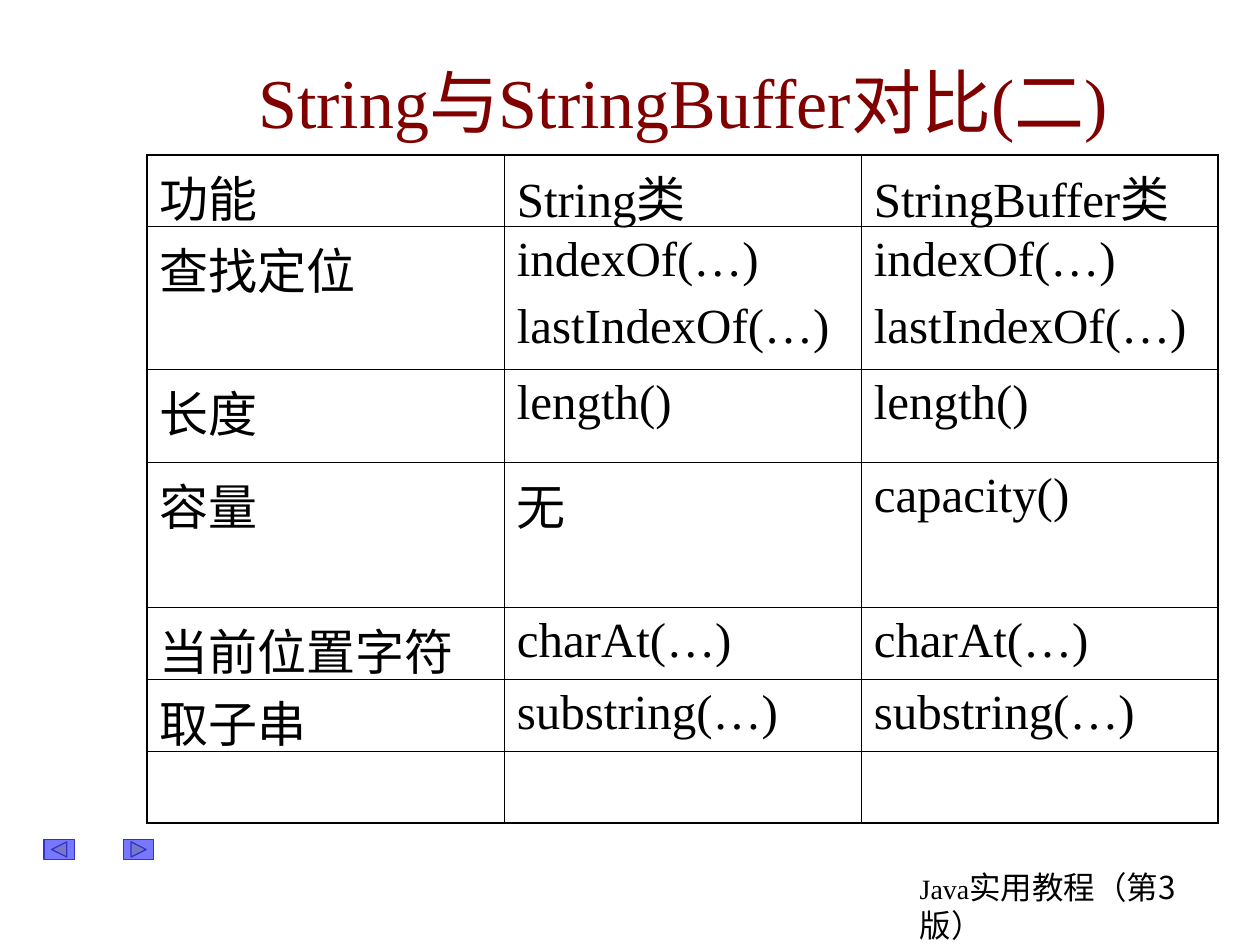
import pptx
import pptx.util
import pptx.dml.color
import pptx.enum.shapes
import pptx.enum.text
import pptx.oxml
import pptx.oxml.ns
from dataclasses import dataclass

Cm, Pt = pptx.util.Cm, pptx.util.Pt
Kind = pptx.enum.shapes.MSO_SHAPE


@dataclass(frozen=True)
class Theme:
    latin: str = "Times New Roman"
    han: str = "Noto Sans CJK SC"
    ink: str = "000000"
    head: str = "800000"
    fill: str = "0000FF"
    edge: str = "3333CC"
    alpha: int = 53
    title: int = 40
    body: int = 28
    note: int = 18
    small: int = 16
    gap: int = 7
    thick: float = 1.08
    thin: float = 0.45


THEME = Theme()

TITLE = "String与StringBuffer对比(二)"
ROWS = [
    ("功能", "String类", "StringBuffer类"),
    ("查找定位", "indexOf(…)\nlastIndexOf(…)", "indexOf(…)\nlastIndexOf(…)"),
    ("长度", "length()", "length()"),
    ("容量", "无", "capacity()"),
    ("当前位置字符", "charAt(…)", "charAt(…)"),
    ("取子串", "substring(…)", "substring(…)"),
    ("", "", ""),
]
HEIGHTS = [1.45, 2.87, 1.88, 2.92, 1.45, 1.45, 1.45]
NOTE = [
    ("Java", THEME.latin, THEME.small),
    ("实用教程（第3版）", THEME.han, THEME.note),
]
BUTTONS = [
    (Kind.ACTION_BUTTON_FORWARD_OR_NEXT, 2.49),
    (Kind.ACTION_BUTTON_BACK_OR_PREVIOUS, 0.89),
]
LEFT, WIDTH = 2.97, 21.59


def box(*sizes):
    return [Cm(size) for size in sizes]


def style(font, name, size, color):
    font.name = name
    font.size = Pt(size)
    font.color.rgb = pptx.dml.color.RGBColor.from_string(color)


def border(cell, side, width):
    line = pptx.oxml.parse_xml(
        f'<a:ln{side} {pptx.oxml.ns.nsdecls("a")} w="{Pt(width)}">'
        f'<a:solidFill><a:srgbClr val="{THEME.ink}"/></a:solidFill>'
        f'</a:ln{side}>'
    )
    cell._tc.get_or_add_tcPr().append(line)


def add_note(slide):
    frame = slide.shapes.add_textbox(*box(18.29, 17.37, 6.6, 1.78)).text_frame
    frame.word_wrap = True
    for text, name, size in NOTE:
        run = frame.paragraphs[0].add_run()
        run.text = text
        style(run.font, name, size, THEME.ink)
        if name == THEME.han:
            east = pptx.oxml.parse_xml(
                f'<a:ea {pptx.oxml.ns.nsdecls("a")} typeface="{name}"/>')
            run.font._element.append(east)


def add_button(slide, kind, left):
    shape = slide.shapes.add_shape(kind, *box(left, 16.92, 0.61, 0.41))
    shape.shadow.inherit = False
    shape.fill.solid()
    shape.fill.fore_color.rgb = pptx.dml.color.RGBColor.from_string(THEME.fill)
    color = shape._element.spPr.find(".//" + pptx.oxml.ns.qn("a:srgbClr"))
    color.append(pptx.oxml.parse_xml(
        f'<a:alpha {pptx.oxml.ns.nsdecls("a")} val="{THEME.alpha * 1000}"/>'))
    shape.line.color.rgb = pptx.dml.color.RGBColor.from_string(THEME.edge)
    shape.line.width = Pt(0.75)


def add_title(slide):
    title = slide.shapes.title
    title.left, title.top, title.width, title.height = box(LEFT, 1.07, WIDTH, 1.9)
    frame = title.text_frame
    frame.text = TITLE
    frame.auto_size = pptx.enum.text.MSO_AUTO_SIZE.NONE
    frame.vertical_anchor = pptx.enum.text.MSO_ANCHOR.MIDDLE
    line = frame.paragraphs[0]
    line.alignment = pptx.enum.text.PP_ALIGN.CENTER
    style(line.font, THEME.latin, THEME.title, THEME.head)


def add_grid(slide):
    count, wide = len(ROWS), len(ROWS[0])
    table = slide.shapes.add_table(
        count, wide, *box(LEFT, 3.12, WIDTH, sum(HEIGHTS))).table
    table.first_row = table.horz_banding = False
    for col in table.columns:
        col.width = Cm(WIDTH / wide)
    for r, (row, high) in enumerate(zip(ROWS, HEIGHTS)):
        table.rows[r].height = Cm(high)
        for c, text in enumerate(row):
            cell = table.cell(r, c)
            outer = {"L": c == 0, "R": c == wide - 1,
                     "T": r == 0, "B": r == count - 1}
            for side, edge in outer.items():
                border(cell, side, THEME.thick if edge else THEME.thin)
            cell.fill.background()
            if not text:
                continue
            cell.text = text
            for line in cell.text_frame.paragraphs:
                line.space_before = Pt(THEME.gap)
                style(line.font, THEME.latin, THEME.body, THEME.ink)


def main():
    deck = pptx.Presentation()
    deck.slide_width, deck.slide_height = box(25.4, 19.05)
    slide = deck.slides.add_slide(deck.slide_layouts[5])
    add_note(slide)
    for kind, left in BUTTONS:
        add_button(slide, kind, left)
    add_title(slide)
    add_grid(slide)
    deck.save("out.pptx")


if __name__ == "__main__":
    main()
